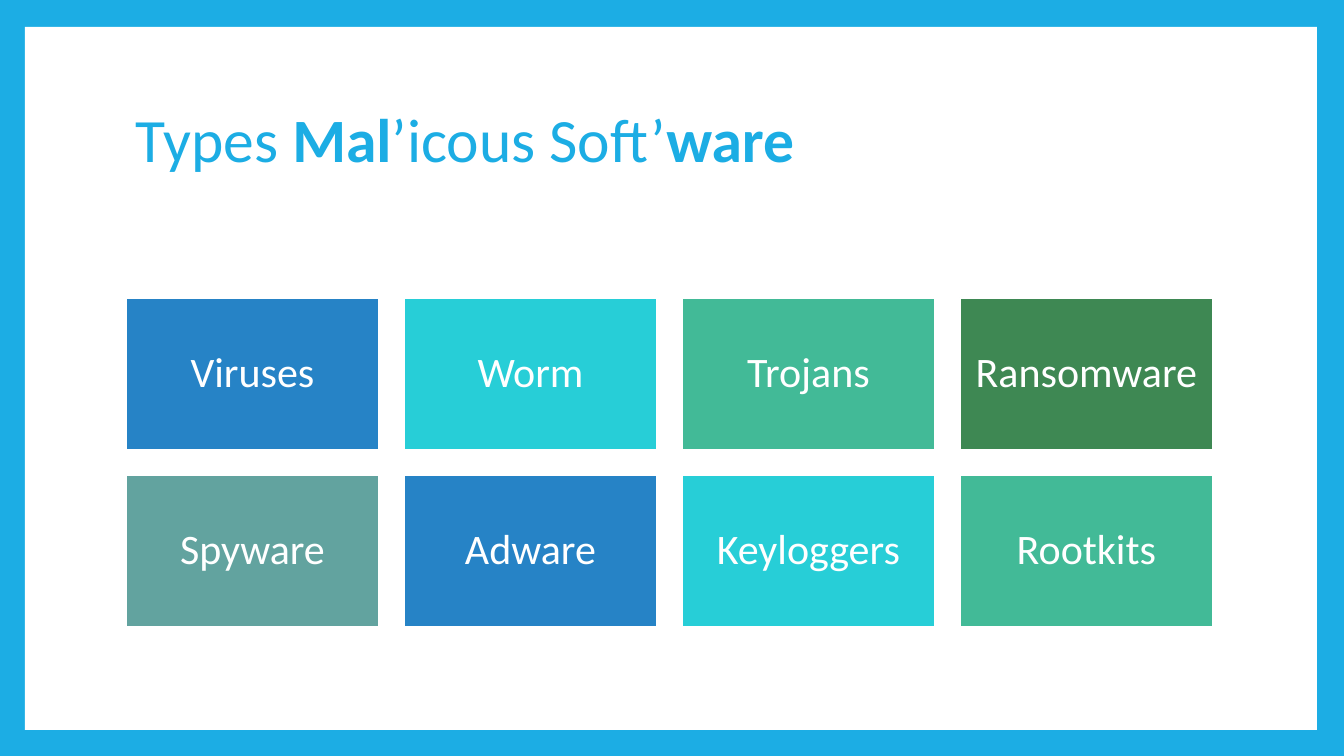
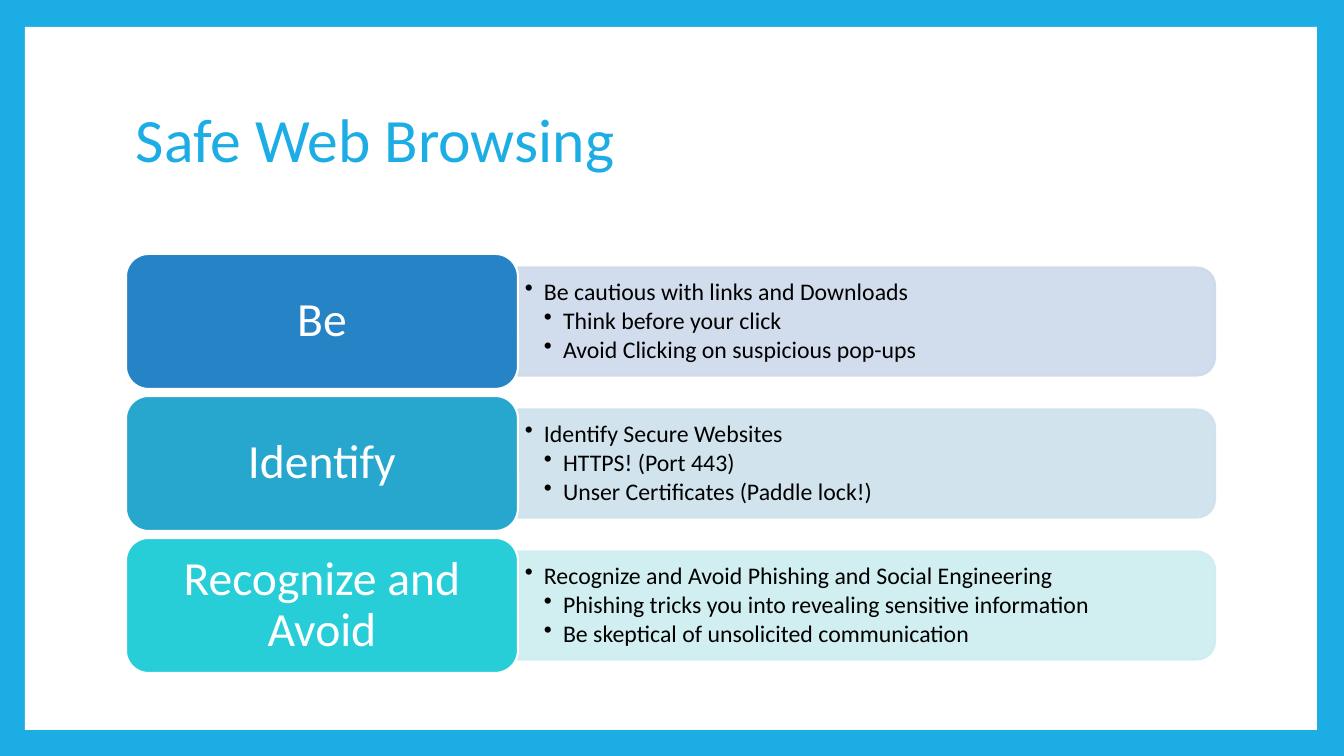
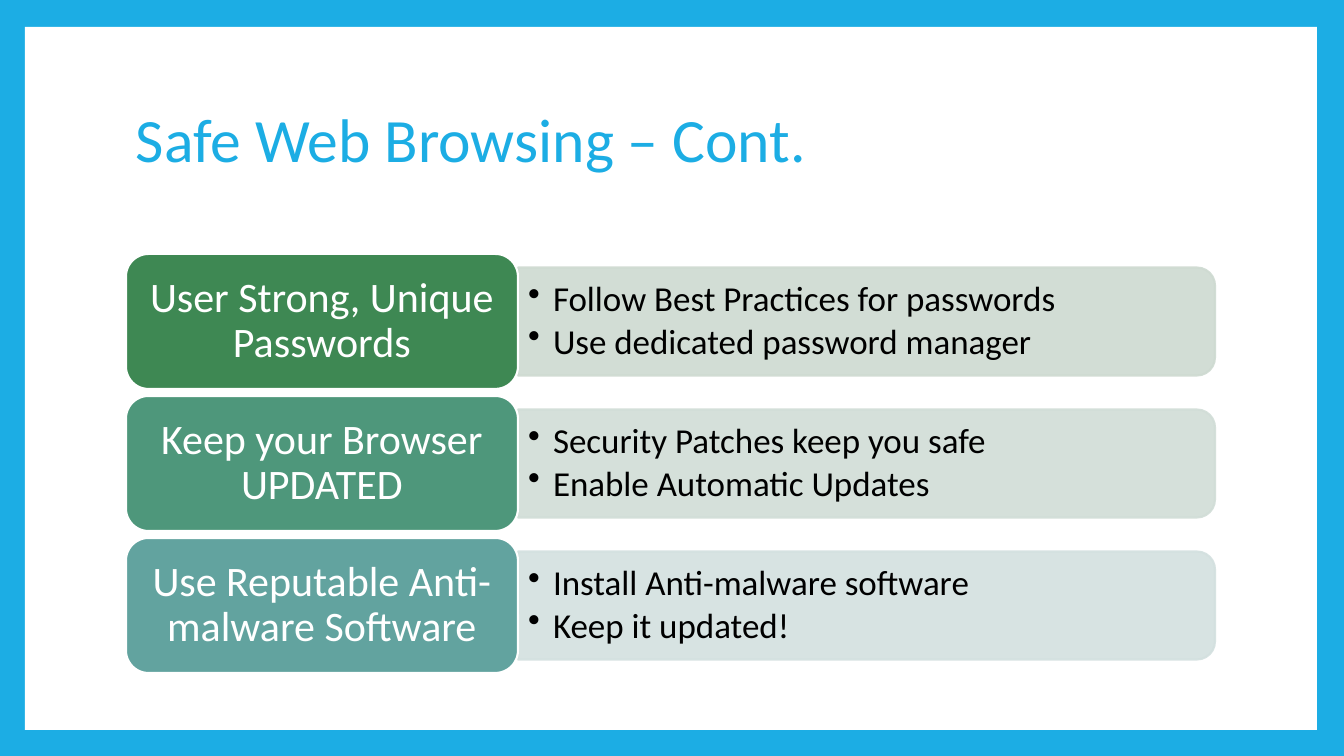
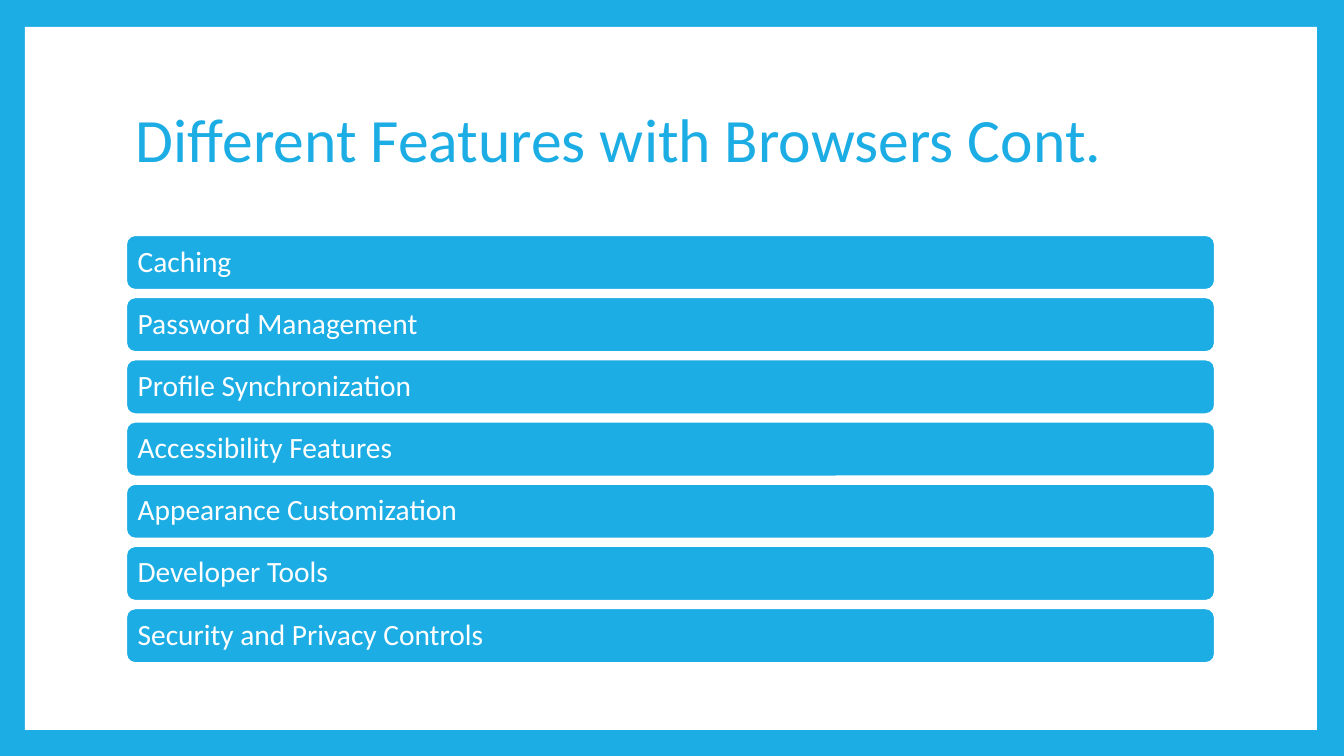
"""Build four slides on malware types, safe browsing and browser features."""
from itertools import cycle

from lxml import etree
from pptx import Presentation
from pptx.dml.color import RGBColor
from pptx.enum.shapes import MSO_SHAPE
from pptx.enum.text import MSO_ANCHOR, MSO_AUTO_SIZE, PP_ALIGN
from pptx.oxml.ns import qn
from pptx.util import Pt

RECT, ROUND = MSO_SHAPE.RECTANGLE, MSO_SHAPE.ROUNDED_RECTANGLE
BAND = MSO_SHAPE.ROUND_2_SAME_RECTANGLE
LEFT, CENTER = PP_ALIGN.LEFT, PP_ALIGN.CENTER
MIDDLE, NO_FIT = MSO_ANCHOR.MIDDLE, MSO_AUTO_SIZE.NONE

FONT = "Calibri"
WHITE = RGBColor(0xFF, 0xFF, 0xFF)
BLACK = RGBColor(0x00, 0x00, 0x00)
SKY = RGBColor(0x1C, 0xAD, 0xE4)
BLUE = RGBColor(0x26, 0x83, 0xC6)
CERULEAN = RGBColor(0x27, 0xA7, 0xCE)
AQUA = RGBColor(0x27, 0xCE, 0xD7)
GREEN = RGBColor(0x42, 0xBA, 0x97)
FOREST = RGBColor(0x3E, 0x88, 0x53)
JADE = RGBColor(0x4E, 0x97, 0x7B)
TEAL = RGBColor(0x62, 0xA3, 0x9F)
PALE_BLUE = RGBColor(0xCD, 0xD9, 0xEA)
PALE_CERULEAN = RGBColor(0xCD, 0xE2, 0xED)
PALE_AQUA = RGBColor(0xCD, 0xED, 0xF0)
PALE_FOREST = RGBColor(0xCE, 0xDA, 0xD1)
PALE_JADE = RGBColor(0xD1, 0xDD, 0xD7)
PALE_TEAL = RGBColor(0xD3, 0xE0, 0xDF)

EMU_PER_PX = 914400 / 100.8
MARGIN, CONTENT_W = 126, 1089

MALWARE_TITLE = "Types *Mal*’icous Soft’*ware*"
MALWARE = ["Viruses", "Worm", "Trojans", "Ransomware",
           "Spyware", "Adware", "Keyloggers", "Rootkits"]
TILE_COLORS = [BLUE, AQUA, GREEN, FOREST, TEAL]

BROWSING = [
    {"title": "Safe Web Browsing",
     "label_size": 34, "label_inset": (14, 7),
     "bullet_size": 17, "bullet_inset": (7, 4), "indent": 19,
     "rows": [
         ("Be", BLUE, PALE_BLUE,
          [(0, "Be cautious with links and Downloads"),
           (1, "Think before your click"),
           (1, "Avoid Clicking on suspicious pop-ups")]),
         ("Identify", CERULEAN, PALE_CERULEAN,
          [(0, "Identify Secure Websites"),
           (1, "HTTPS! (Port 443)"),
           (1, "Unser Certificates (Paddle lock!)")]),
         ("Recognize and Avoid", AQUA, PALE_AQUA,
          [(0, "Recognize and Avoid Phishing and Social Engineering"),
           (1, "Phishing tricks you into revealing sensitive information"),
           (1, "Be skeptical of unsolicited communication")]),
     ]},
    {"title": "Safe Web Browsing – Cont.",
     "label_size": 30, "label_inset": (12, 6),
     "bullet_size": 25, "bullet_inset": (10, 5), "indent": 25,
     "rows": [
         ("User Strong, Unique Passwords", FOREST, PALE_FOREST,
          [(0, "Follow Best Practices for passwords"),
           (0, "Use dedicated password manager")]),
         ("Keep your Browser UPDATED", JADE, PALE_JADE,
          [(0, "Security Patches keep you safe"),
           (0, "Enable Automatic Updates")]),
         ("Use Reputable Anti-malware Software", TEAL, PALE_TEAL,
          [(0, "Install Anti-malware software"),
           (0, "Keep it updated!")]),
     ]},
]

FEATURES_TITLE = "Different Features with Browsers Cont."
FEATURES = ["Caching", "Password Management", "Profile Synchronization",
            "Accessibility Features", "Appearance Customization",
            "Developer Tools", "Security and Privacy Controls"]


def px(n):
    return round(n * EMU_PER_PX)


def box(*lengths):
    return [px(n) for n in lengths]


def style_font(font, size, color):
    font.name, font.size = FONT, Pt(size)
    font.color.rgb = color


def set_frame(tf, inset):
    tf.word_wrap, tf.auto_size, tf.vertical_anchor = True, NO_FIT, MIDDLE
    tf.margin_left = tf.margin_right = px(inset[0])
    tf.margin_top = tf.margin_bottom = px(inset[1])


def add_block(slide, kind, at, fill, line=WHITE):
    sp = slide.shapes.add_shape(kind, *box(*at))
    sp.shadow.inherit = False
    sp.fill.solid()
    sp.fill.fore_color.rgb = fill
    sp.line.color.rgb = line
    sp.line.width = Pt(1.5)
    return sp


def add_label(slide, kind, at, fill, text, size, inset, align=CENTER):
    tf = add_block(slide, kind, at, fill).text_frame
    set_frame(tf, inset)
    tf.text = text
    p = tf.paragraphs[0]
    p.alignment, p.line_spacing = align, 0.9
    style_font(p.runs[0].font, size, WHITE)


def add_band(slide, left, top, width, height, color):
    x, y = left + (width - height) / 2, top + (height - width) / 2
    sp = add_block(slide, BAND, (x, y, height, width), color, color)
    sp.rotation = 90
    for clr in sp._element.spPr.iter(qn("a:srgbClr")):
        etree.SubElement(clr, qn("a:alpha"), val="90000")


def add_bullets(slide, at, items, size, inset, indent):
    tf = slide.shapes.add_textbox(*box(*at)).text_frame
    set_frame(tf, inset)
    for i, (level, text) in enumerate(items):
        p = tf.paragraphs[0] if i == 0 else tf.add_paragraph()
        p.text = text
        p.level, p.line_spacing, p.space_after = level, 0.9, Pt(size * 0.13)
        pPr = p._p.get_or_add_pPr()
        pPr.set("marL", str(px(indent * (level + 1))))
        pPr.set("indent", str(-px(indent)))
        etree.SubElement(pPr, qn("a:buChar"), char="•")
        style_font(p.runs[0].font, size, BLACK)


def set_up_master(prs, layout):
    master = prs.slide_master
    master.background.fill.solid()
    master.background.fill.fore_color.rgb = SKY
    title = layout.placeholders[0]
    title.left, title.top, title.width, title.height = box(MARGIN, 68, CONTENT_W, 149)


def add_panel(prs, slide):
    panel = add_block(slide, RECT, (25, 27, 1292, 703), WHITE)
    panel.line.fill.background()
    prs.slide_master.shapes._spTree.insert(2, panel._element)


def add_slide(prs, layout, title):
    slide = prs.slides.add_slide(layout)
    tf = slide.shapes.title.text_frame
    set_frame(tf, (10, 5))
    p = tf.paragraphs[0]
    p.alignment, p.line_spacing = LEFT, 0.9
    for i, part in enumerate(title.split("*")):
        if part:
            r = p.add_run()
            r.text = part
            style_font(r.font, 44, SKY)
            r.font.bold = i % 2 == 1
    return slide


def build_tiles(slide):
    width, height, gap, columns = 253, 152, 25, 4
    for i, (name, color) in enumerate(zip(MALWARE, cycle(TILE_COLORS))):
        row, col = divmod(i, columns)
        at = (MARGIN + col * (width + gap), 298 + row * (height + gap), width, height)
        add_label(slide, RECT, at, color, name, 30, (12, 12))


def build_rows(slide, content):
    label_w, label_h, pitch, band_h = 392, 135, 142, 108
    band_x, band_w = MARGIN + label_w, CONTENT_W - label_w
    for i, (label, color, pale, items) in enumerate(content["rows"]):
        top = 254 + i * pitch
        band_y = top + (label_h - band_h) / 2
        add_band(slide, band_x, band_y, band_w, band_h, pale)
        add_bullets(slide, (band_x, band_y + 5, band_w - 5, band_h - 10), items,
                    content["bullet_size"], content["bullet_inset"], content["indent"])
        add_label(slide, ROUND, (MARGIN, top, label_w, label_h), color, label,
                  content["label_size"], content["label_inset"])


def build_bars(slide):
    for i, name in enumerate(FEATURES):
        add_label(slide, ROUND, (MARGIN, 235 + i * 62.2, CONTENT_W, 55), SKY,
                  name, 21, (9, 9), LEFT)


def main():
    prs = Presentation()
    prs.slide_width, prs.slide_height = box(1344, 756)
    layout = prs.slide_layouts[5]
    set_up_master(prs, layout)

    slide = add_slide(prs, layout, MALWARE_TITLE)
    add_panel(prs, slide)
    build_tiles(slide)
    for content in BROWSING:
        build_rows(add_slide(prs, layout, content["title"]), content)
    build_bars(add_slide(prs, layout, FEATURES_TITLE))
    prs.save("out.pptx")


if __name__ == "__main__":
    main()
